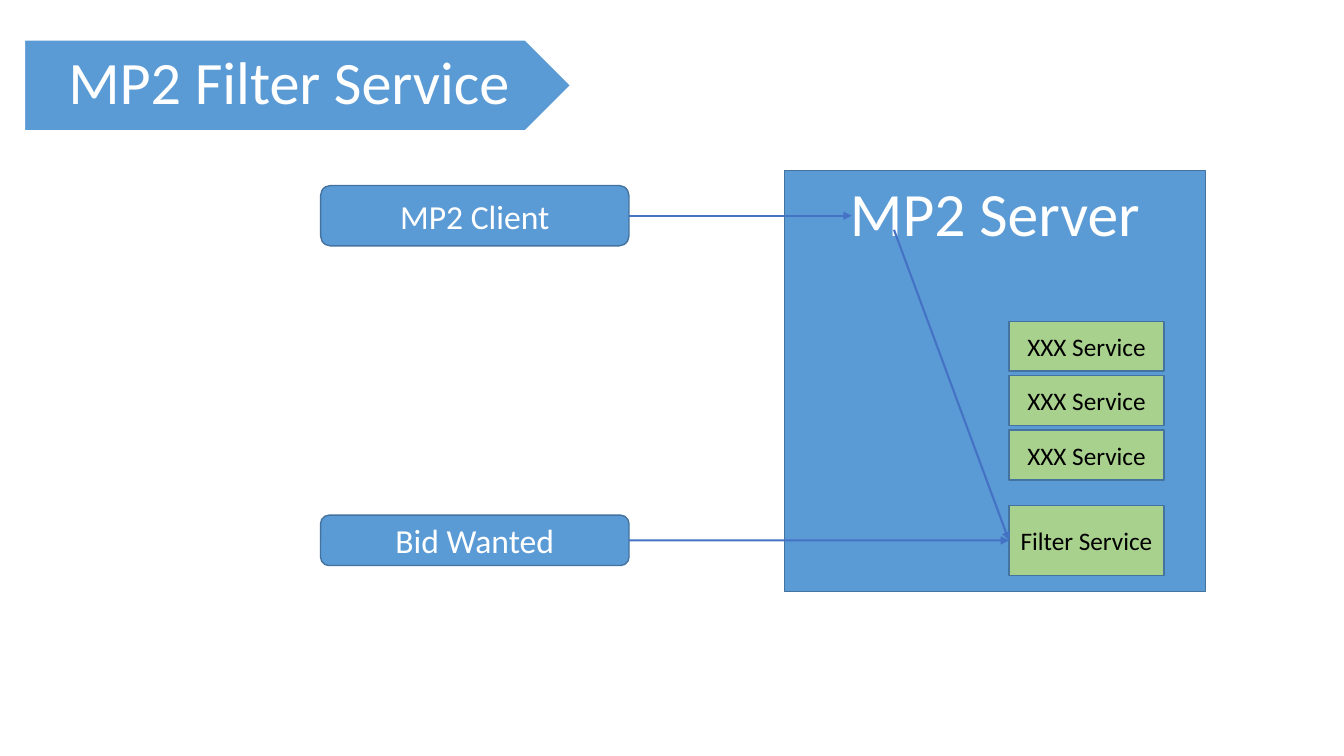
from pptx import Presentation
from pptx.dml.color import RGBColor
from pptx.enum.shapes import MSO_CONNECTOR as Connector, MSO_SHAPE as Shape
from pptx.enum.text import MSO_ANCHOR as Anchor, MSO_AUTO_SIZE as AutoSize, PP_ALIGN as Align
from pptx.oxml.ns import qn
from pptx.util import Pt
from lxml import etree

COLORS = {
    "blue": "5B9BD5",
    "green": "A9D18E",
    "outline": "43739E",
    "arrow": "4472C4",
    "white": "FFFFFF",
    "black": "000000",
}
FONT = "Calibri"
LEFT, RIGHT = 1, 3


def color(name):
    return RGBColor.from_string(COLORS[name])


class DiagramSlide:
    def __init__(self, presentation):
        self.slide = presentation.slides.add_slide(presentation.slide_layouts[5])
        self.shapes = self.slide.shapes

    def label(self, shape, text, size, font_color, anchor=Anchor.MIDDLE):
        frame = shape.text_frame
        frame.text = text
        frame.word_wrap = True
        frame.auto_size = AutoSize.NONE
        frame.vertical_anchor = anchor
        paragraph = frame.paragraphs[0]
        paragraph.alignment = Align.CENTER
        font = paragraph.runs[0].font
        font.name = FONT
        font.size = Pt(size)
        font.color.rgb = color(font_color)

    def box(self, kind, left, top, width, height, fill, line="outline"):
        shape = self.shapes.add_shape(kind, Pt(left), Pt(top), Pt(width), Pt(height))
        shape.shadow.inherit = False
        shape.fill.solid()
        shape.fill.fore_color.rgb = color(fill)
        shape.line.color.rgb = color(line)
        shape.line.width = Pt(1)
        return shape

    def title(self, text, left, top, width, height):
        """Place the title on a pentagon banner that is a little wider than the text."""
        banner = self.box(Shape.PENTAGON, left, top, width + 16.5, height, "blue", "white")
        title = self.shapes.title
        title.left, title.top = Pt(left), Pt(top)
        title.width, title.height = Pt(width), Pt(height)
        self.label(title, text, 43, "white")
        frame = title.text_frame
        frame.margin_left, frame.margin_right = Pt(18), Pt(14)
        frame.margin_top = frame.margin_bottom = Pt(9)
        frame.paragraphs[0].line_spacing = 0.9
        banner._element.addnext(title._element)

    def service(self, text, top, height):
        shape = self.box(Shape.RECTANGLE, 720.7, top, 110.9, height, "green")
        self.label(shape, text, 18, "black")
        return shape

    def client(self, text, top, height):
        shape = self.box(Shape.ROUNDED_RECTANGLE, 229, top, 220.3, height, "blue")
        self.label(shape, text, 24, "white")
        return shape

    def arrow(self, start, end, source=None, target=None):
        """Draw an arrow, joined to the right of source and the left of target if given."""
        arrow = self.shapes.add_connector(Connector.STRAIGHT, *map(Pt, start + end))
        if source is not None:
            arrow.begin_connect(source, RIGHT)
        if target is not None:
            arrow.end_connect(target, LEFT)
        arrow.line.color.rgb = color("arrow")
        arrow.line.width = Pt(1.5)
        properties = arrow._element.spPr
        etree.SubElement(properties.find(qn("a:ln")), qn("a:tailEnd"), type="triangle")
        etree.SubElement(properties, qn("a:effectLst"))


def main():
    presentation = Presentation()
    presentation.slide_width, presentation.slide_height = Pt(960), Pt(540)
    diagram = DiagramSlide(presentation)

    server = diagram.box(Shape.RECTANGLE, 560.2, 121.7, 301, 301, "blue")
    diagram.label(server, "MP2 Server", 44, "white", Anchor.TOP)

    filter_service = diagram.service("Filter Service", 361.2, 49.7)
    mp2_client = diagram.client("MP2 Client", 132.5, 43.2)
    bid_wanted = diagram.client("Bid Wanted", 368, 36)

    filter_left = (720.7, 386)
    diagram.arrow((449.3, 154.1), (608.4, 154.1), source=mp2_client)
    diagram.arrow((449.3, 386), filter_left, source=bid_wanted, target=filter_service)
    diagram.arrow((638.6, 164.2), filter_left, target=filter_service)

    diagram.title("MP2 Filter Service", 17.5, 28.5, 373.7, 65)

    for row in range(3):
        diagram.service("XXX Service", 229.5 + 38.9 * row, 35.5)

    presentation.save("out.pptx")


if __name__ == "__main__":
    main()
